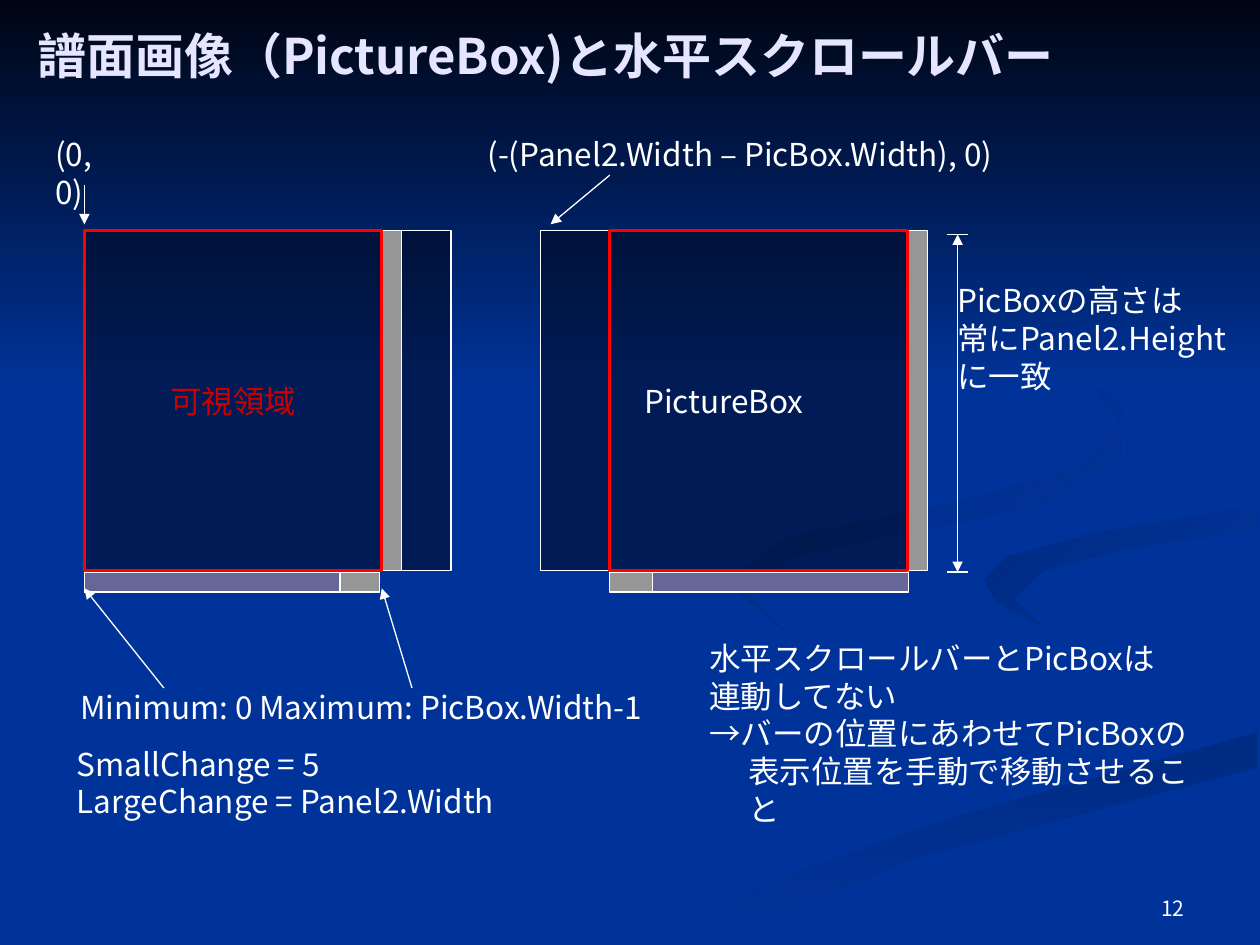
from pptx import Presentation
from pptx import util as u
from pptx.dml.color import RGBColor
from pptx.enum import shapes, text
from pptx.oxml import ns, xmlchemy
from dataclasses import dataclass

PX = 9144  # EMU per px, 100 px to the inch


@dataclass(frozen=True)
class Theme:
    font: str = "Noto Sans CJK JP"
    background: str = "003399"
    shade: str = "002B82"
    night: str = "000514"
    title: str = "E5E5FF"
    ink: str = "FFFFFF"
    bar: str = "969696"
    thumb: str = "666699"
    frame: str = "FF0000"
    visible: str = "CC0000"
    title_size: int = 28
    body_size: int = 18
    number_size: int = 12
    thin: float = 0.75
    thick: float = 1.75
    leading: float = 1.2


THEME = Theme()

# Background bands: top colour, angle, outline in px
BANDS = [
    (THEME.shade, 90, [(503, 749), (571, 749), (722, 682), (998, 609),
                       (998, 581), (764, 647), (630, 693)]),
    (THEME.shade, 45, [(781, 460), (791, 478), (826, 496), (805, 476), (828, 453),
                       (896, 435), (998, 420), (998, 402), (865, 424), (799, 442)]),
    (THEME.shade, 45, [(683, 430), (825, 402), (889, 362), (890, 324), (843, 275),
                       (762, 233), (846, 279), (889, 335), (861, 370), (763, 398),
                       (625, 426), (577, 462), (622, 500), (593, 470), (624, 444)]),
    (THEME.night, 90, [(0, 0), (0, 308), (1000, 308), (1000, 0)]),
]


def rgb(color):
    return RGBColor.from_string(color)


def add_child(parent, tag, **attributes):
    child = xmlchemy.OxmlElement(tag)
    for key, value in attributes.items():
        child.set(key, value)
    parent.append(child)


def add_band(slide, color, angle, outline):
    builder = slide.shapes.build_freeform(*outline[0], scale=PX)
    builder.add_line_segments(outline[1:], close=True)
    band = builder.convert_to_shape()
    band.shadow.inherit = False
    band.line.fill.background()
    band.fill.gradient()
    band.fill.gradient_angle = 360 - angle
    for position, stop in enumerate(band.fill.gradient_stops):
        stop.color.rgb = rgb(THEME.background if position else color)
        stop.position = position


def write(frame, words, size=THEME.body_size, color=THEME.ink, bold=False,
          align=text.PP_ALIGN.LEFT, anchor=text.MSO_ANCHOR.TOP, wrap=False, inset=0):
    frame.text = words
    frame.word_wrap = wrap
    frame.vertical_anchor = anchor
    frame.margin_left = frame.margin_right = 10 * PX
    frame.margin_top = frame.margin_bottom = inset * PX
    for paragraph in frame.paragraphs:
        paragraph.alignment = align
        paragraph.line_spacing = u.Pt(size * THEME.leading)
        for run in paragraph.runs:
            run.font.size = u.Pt(size)
            run.font.bold = bold
            run.font.color.rgb = rgb(color)
            run.font.name = THEME.font
            add_child(run.font._element, "a:ea", typeface=THEME.font)


def add_text(slide, left, top, width, height, words, **style):
    box = slide.shapes.add_textbox(left * PX, top * PX, width * PX, height * PX)
    write(box.text_frame, words, **style)
    return box


def add_rect(slide, left, top, width, height, fill=None, line=THEME.ink,
             weight=THEME.thin, opacity=None):
    rect = slide.shapes.add_shape(shapes.MSO_SHAPE.RECTANGLE, left * PX, top * PX,
                                  width * PX, height * PX)
    rect.shadow.inherit = False
    rect.line.color.rgb = rgb(line)
    rect.line.width = u.Pt(weight)
    if fill:
        rect.fill.solid()
        rect.fill.fore_color.rgb = rgb(fill)
    else:
        rect.fill.background()
    if opacity:
        color = rect._element.spPr.find(f"{ns.qn('a:solidFill')}/{ns.qn('a:srgbClr')}")
        add_child(color, "a:alpha", val=str(opacity * 1000))
    return rect


def add_line(slide, x1, y1, x2, y2, *arrowheads):
    line = slide.shapes.add_connector(shapes.MSO_CONNECTOR.STRAIGHT,
                                      x1 * PX, y1 * PX, x2 * PX, y2 * PX)
    line.line.color.rgb = rgb(THEME.ink)
    line.line.width = u.Pt(THEME.thin)
    for end in arrowheads:
        add_child(line.line._get_or_add_ln(), f"a:{end}", type="triangle")
    add_child(line._element.spPr, "a:effectLst")


def add_viewer(slide, picture_x, view_x, thumb_x):
    """Picture box, its scroll bars and the visible frame."""
    top, height, view_width, bar = 183, 270, 236, 16
    track_y = top + height + 1
    picture = add_rect(slide, picture_x, top, 291, height, THEME.night, opacity=50)
    add_rect(slide, view_x, track_y, 234, bar, THEME.bar)
    add_rect(slide, view_x + view_width, top, bar, height, THEME.bar)
    add_rect(slide, thumb_x, track_y, 203, bar, THEME.thumb)
    view = add_rect(slide, view_x, top, view_width, height,
                    line=THEME.frame, weight=THEME.thick)
    return picture, view


def main():
    prs = Presentation()
    prs.slide_width, prs.slide_height = 1000 * PX, 750 * PX
    slide = prs.slides.add_slide(prs.slide_layouts[6])
    slide.background.fill.solid()
    slide.background.fill.fore_color.rgb = rgb(THEME.background)
    for band in BANDS:
        add_band(slide, *band)

    # Title and page number
    middle, center = text.MSO_ANCHOR.MIDDLE, text.PP_ALIGN.CENTER
    add_text(slide, 20, 13, 961, 61, "譜面画像（PictureBox)と水平スクロールバー",
             size=THEME.title_size, color=THEME.title, bold=True,
             anchor=middle, wrap=True, inset=5)
    add_text(slide, 717, 706, 233, 30, "12", size=THEME.number_size, wrap=True,
             align=text.PP_ALIGN.RIGHT, anchor=text.MSO_ANCHOR.BOTTOM, inset=5)

    # Scrolled fully left, and fully right
    _, visible_area = add_viewer(slide, 67, 67, 67)
    picture_box, _ = add_viewer(slide, 429, 484, 518)
    write(visible_area.text_frame, "可視領域", color=THEME.visible,
          align=center, anchor=middle)
    write(picture_box.text_frame, "PictureBox", align=center, anchor=middle)

    # Scroll bar properties
    add_text(slide, 54, 546, 160, 30, "Minimum: 0")
    add_text(slide, 196, 546, 328, 30, "Maximum: PicBox.Width-1")
    add_line(slide, 130, 546, 67, 467, "tailEnd")
    add_line(slide, 327, 546, 303, 467, "tailEnd")
    add_text(slide, 51, 591, 360, 60, "SmallChange = 5\nLargeChange = Panel2.Width")

    # Picture positions
    add_text(slide, 34, 107, 65, 30, "(0, 0)", wrap=True)
    add_text(slide, 377, 107, 421, 30, "(-(Panel2.Width – PicBox.Width), 0)")
    add_line(slide, 484, 139, 437, 178, "tailEnd")
    add_line(slide, 67, 147, 67, 178, "tailEnd")

    # Remark on manual scrolling
    remark = add_text(slide, 553, 507, 425, 120,
                      "水平スクロールバーとPicBoxは\n連動してない\n"
                      "→バーの位置にあわせてPicBoxの\n表示位置を手動で移動させること")
    last_line = remark.text_frame.paragraphs[-1]
    last_line._p.get_or_add_pPr().set("marL", str(31 * PX))

    # Height dimension
    for y in (454, 186):
        add_line(slide, 752, y, 768, y)
    add_line(slide, 760, 454, 760, 186, "headEnd", "tailEnd")
    add_text(slide, 750, 223, 241, 90, "PicBoxの高さは\n常にPanel2.Height\nに一致")

    prs.save("out.pptx")


if __name__ == "__main__":
    main()
